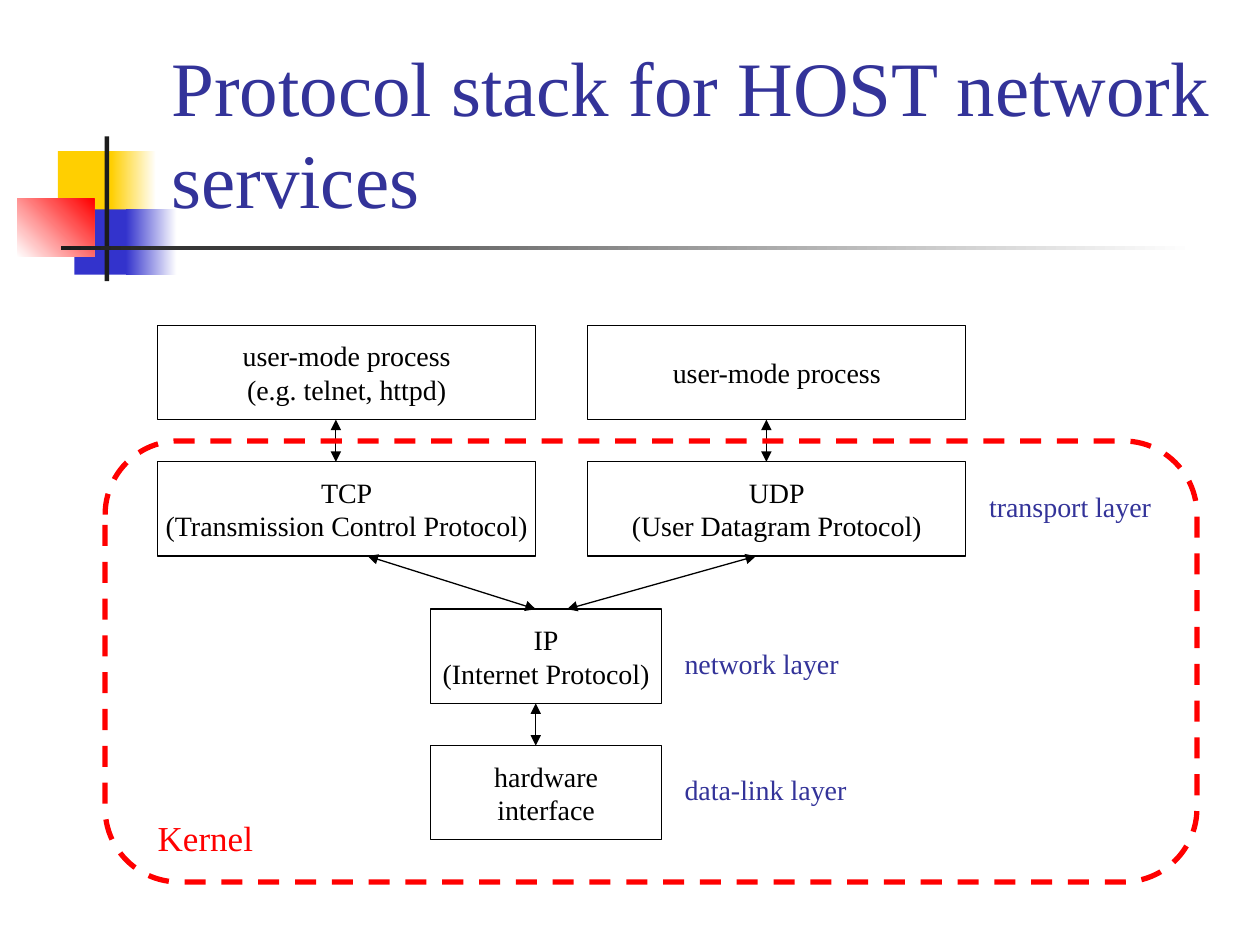
from lxml.etree import SubElement
from pptx import Presentation
from pptx.dml.color import RGBColor
from pptx.enum.dml import MSO_LINE
from pptx.enum.shapes import MSO_CONNECTOR, MSO_SHAPE
from pptx.enum.text import MSO_ANCHOR, MSO_AUTO_SIZE, PP_ALIGN
from pptx.oxml.ns import qn
from pptx.util import Cm, Pt

FONT = "Times New Roman"
BLACK, WHITE, NAVY, RED = "000000", "FFFFFF", "333399", "FF0000"
YELLOW, BLUE, CHARCOAL = "FFCF01", "3333CC", "1C1C1C"


def paint(color_format, hex_color):
    color_format.rgb = RGBColor.from_string(hex_color)


def write(frame, lines, size, color, align=PP_ALIGN.LEFT):
    """Fill a text frame with one paragraph per line."""
    for index, line in enumerate(lines):
        paragraph = frame.paragraphs[0] if index == 0 else frame.add_paragraph()
        paragraph.alignment = align
        run = paragraph.add_run()
        run.text = line
        run.font.name = FONT
        run.font.size = Pt(size)
        paint(run.font.color, color)


prs = Presentation()
prs.slide_width, prs.slide_height = Cm(25.4), Cm(19.05)
slide = prs.slides.add_slide(prs.slide_layouts[5])
shapes = slide.shapes

# Corner ornament: left, top, width, height, colours from start to end, angle
ornament = [
    (1.17, 3.05, 1.22, 1.32, [YELLOW], 0),
    (2.24, 3.05, 0.91, 1.32, [YELLOW, WHITE], 0),
    (1.5, 4.22, 1.17, 1.32, [BLUE], 0),
    (2.54, 4.22, 1.02, 1.32, [BLUE, WHITE], 0),
    (0.35, 4.01, 1.55, 1.17, [WHITE, RED], 45),
    (2.11, 2.75, 0.09, 2.92, [CHARCOAL], 0),
    (1.23, 4.95, 22.86, 0.09, [CHARCOAL, WHITE], 0),
]
for left, top, width, height, colors, angle in ornament:
    block = shapes.add_shape(MSO_SHAPE.RECTANGLE, Cm(left), Cm(top), Cm(width), Cm(height))
    block.shadow.inherit = False
    block.line.fill.background()
    if len(colors) == 1:
        block.fill.solid()
        paint(block.fill.fore_color, colors[0])
    else:
        block.fill.gradient()
        block.fill.gradient_angle = angle
        for stop, color in zip(block.fill.gradient_stops, colors):
            paint(stop.color, color)

# Title, in front of the ornament
title = shapes.title
title.left, title.top, title.width, title.height = Cm(3.2), Cm(0.58), Cm(21.64), Cm(4.06)
title.text_frame.vertical_anchor = MSO_ANCHOR.BOTTOM
title.text_frame.auto_size = MSO_AUTO_SIZE.NONE
write(title.text_frame, ["Protocol stack for HOST network services"], 44, NAVY)
title.element.getparent().append(title.element)

# Protocol boxes
box_height = 1.9
wide, narrow = 7.62, 4.66
left_column, middle_column, right_column = 3.18, 8.68, 11.85
process_top, transport_top, network_top, link_top = 6.56, 9.31, 12.28, 15.03
protocols = [
    (middle_column, link_top, narrow, ["hardware", "interface"]),
    (middle_column, network_top, narrow, ["IP", "(Internet Protocol)"]),
    (left_column, transport_top, wide, ["TCP", "(Transmission Control Protocol)"]),
    (right_column, transport_top, wide, ["UDP", "(User Datagram Protocol)"]),
    (left_column, process_top, wide, ["user-mode process", "(e.g. telnet, httpd)"]),
    (right_column, process_top, wide, ["user-mode process"]),
]
for left, top, width, lines in protocols:
    protocol = shapes.add_shape(MSO_SHAPE.RECTANGLE, Cm(left), Cm(top), Cm(width), Cm(box_height))
    protocol.shadow.inherit = False
    protocol.fill.background()
    protocol.line.width = Pt(0.75)
    paint(protocol.line.color, BLACK)
    protocol.text_frame.word_wrap = False
    protocol.text_frame.vertical_anchor = MSO_ANCHOR.MIDDLE
    write(protocol.text_frame, lines, 16, BLACK, PP_ALIGN.CENTER)

# Two-way arrows: lower x, lower box top, upper x, upper box top
exchanges = [
    (10.8, link_top, 10.8, network_top),
    (10.8, network_top, 7.41, transport_top),
    (11.43, network_top, 15.24, transport_top),
    (6.77, transport_top, 6.77, process_top),
    (15.45, transport_top, 15.45, process_top),
]
for lower_x, lower_top, upper_x, upper_top in exchanges:
    arrow = shapes.add_connector(MSO_CONNECTOR.STRAIGHT, Cm(lower_x), Cm(lower_top),
                                 Cm(upper_x), Cm(upper_top + box_height))
    arrow.line.width = Pt(0.75)
    paint(arrow.line.color, BLACK)
    line_xml = arrow.line._get_or_add_ln()
    for end in ("a:headEnd", "a:tailEnd"):
        SubElement(line_xml, qn(end), type="triangle")
    SubElement(arrow.element.spPr, qn("a:effectLst"))

# Kernel boundary
kernel = shapes.add_shape(MSO_SHAPE.ROUNDED_RECTANGLE, Cm(2.12), Cm(8.89), Cm(22.01), Cm(8.89))
kernel.adjustments[0] = 0.167
kernel.shadow.inherit = False
kernel.fill.background()
kernel.line.width = Pt(3)
kernel.line.dash_style = MSO_LINE.DASH
paint(kernel.line.color, RED)

# Labels
labels = [
    (13.55, 15.45, 3.81, 0.93, "data-link layer", 16, NAVY),
    (13.55, 12.91, 3.63, 0.93, "network layer", 16, NAVY),
    (19.69, 9.74, 3.81, 0.93, "transport layer", 16, NAVY),
    (2.93, 16.34, 2.44, 1.1, "Kernel", 20, RED),
]
for left, top, width, height, text, size, color in labels:
    label = shapes.add_textbox(Cm(left), Cm(top), Cm(width), Cm(height))
    label.text_frame.word_wrap = False
    label.text_frame.auto_size = MSO_AUTO_SIZE.SHAPE_TO_FIT_TEXT
    write(label.text_frame, [text], size, color)

prs.save("out.pptx")
